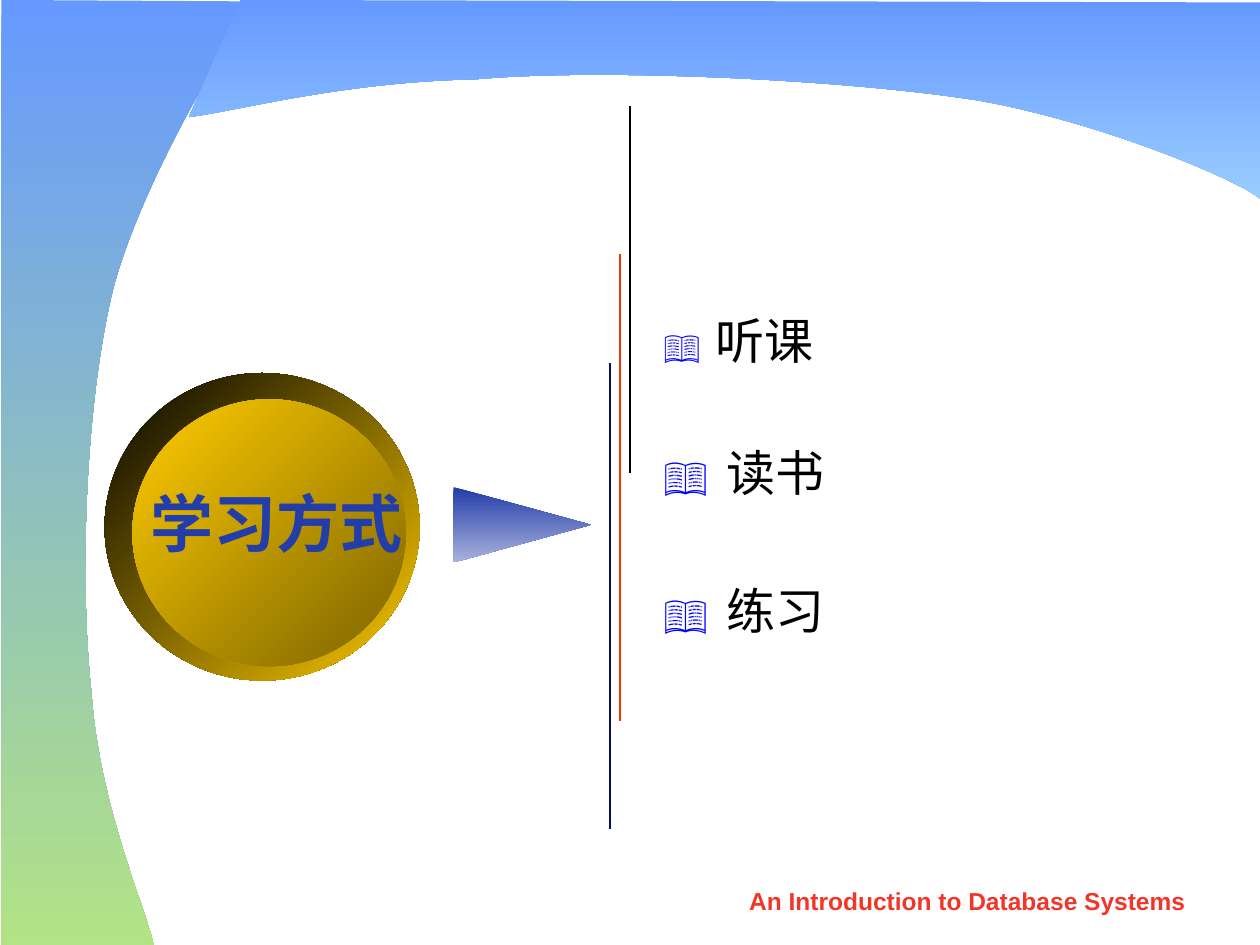
import pptx
import pptx.util
import pptx.dml.color
import pptx.enum.shapes
import pptx.enum.text
import pptx.oxml.ns
import lxml.etree

Cm, Pt = pptx.util.Cm, pptx.util.Pt
Shape = pptx.enum.shapes.MSO_SHAPE
Align = pptx.enum.text.PP_ALIGN
qn = pptx.oxml.ns.qn

HUES = {
    "sky": "6699FF", "pale": "99CCFF", "lime": "B2E385",
    "black": "000000", "gold": "FFCC00", "bronze": "7C6300",
    "royal": "233DA9", "mist": "A9B3DD", "navy": "050E63",
    "flame": "FF3300", "red": "F03628", "blue": "0000FF",
}


def hue(name):
    return pptx.dml.color.RGBColor.from_string(HUES[name])


class Deck:
    def __init__(self):
        self.show = pptx.Presentation()
        self.show.slide_width, self.show.slide_height = Cm(25.4), Cm(19.05)
        self.slide = self.show.slides.add_slide(self.show.slide_layouts[6])
        self.shapes = self.slide.shapes

    def blend(self, shape, hues, angle=270):
        shape.shadow.inherit = False
        shape.line.fill.background()
        shape.fill.gradient()
        shape.fill.gradient_angle = angle
        for stop, name, place in zip(shape.fill.gradient_stops, hues, (0, 1)):
            stop.color.rgb = hue(name)
            stop.position = place

    def wave(self, knots, corners, hues):
        """Outline of cubic curves (three knots each), closed by straight corners."""
        points = [(Cm(x), Cm(y)) for x, y in knots + corners]
        build = self.shapes.build_freeform(*points[0])
        build.add_line_segments(points[1:], close=True)
        shape = build.convert_to_shape()
        lines = list(shape._element.iter(qn("a:lnTo")))[:len(knots) - 1]
        for first in range(0, len(lines), 3):
            curve = lxml.etree.Element(qn("a:cubicBezTo"))
            lines[first].addprevious(curve)
            for line in lines[first:first + 3]:
                curve.append(line[0])
                line.getparent().remove(line)
        self.blend(shape, hues)

    def solid(self, kind, box, hues, angle=270, adjust=()):
        shape = self.shapes.add_shape(kind, *map(Cm, box))
        for index, value in enumerate(adjust):
            shape.adjustments[index] = value
        self.blend(shape, hues, angle)

    def rule(self, x, top, end, name):
        line = self.shapes.add_connector(
            pptx.enum.shapes.MSO_CONNECTOR.STRAIGHT, Cm(x), Cm(top), Cm(x), Cm(end))
        line.line.color.rgb = hue(name)
        line.line.width = Pt(1)
        lxml.etree.SubElement(line._element.spPr, qn("a:effectLst"))

    def text(self, box, runs, wrap=True, hang=0, **form):
        frame = self.shapes.add_textbox(*map(Cm, box)).text_frame
        frame.word_wrap = wrap
        para = frame.paragraphs[0]
        for key, value in form.items():
            setattr(para, key, value)
        if hang:
            props = para._p.get_or_add_pPr()
            props.set("marL", str(Cm(hang)))
            props.set("indent", str(-Cm(hang)))
        for words, name, style in runs:
            run = para.add_run()
            run.text = words
            run.font.color.rgb = hue(name)
            for key, value in style.items():
                setattr(run.font, key, value)


def main():
    deck = Deck()

    # Background waves
    deck.wave([(3.1, 19.05),
               (2.9, 18.21), (2.01, 16.23), (1.85, 14.02),
               (1.6, 11.79), (1.7, 8.18), (2.29, 5.79),
               (2.9, 3.53), (4.88, 0.25), (5.28, 0.03)],
              [(0.03, 0), (0.03, 19.05)], ("sky", "lime"))
    deck.wave([(3.81, 2.36),
               (4.78, 2.24), (6.91, 1.65), (9.58, 1.6),
               (12.09, 1.37), (17.04, 1.6), (19.74, 2.03),
               (22.33, 2.49), (25.12, 3.71), (25.4, 4.01)],
              [(25.4, 0.05), (4.85, 0)], ("sky", "pale"))

    # Footer
    deck.text((14.5, 17.73, 10.01, 0.89),
              [("An Introduction to Database Systems", "red",
                {"size": Pt(14), "name": "Arial", "bold": True})],
              alignment=Align.CENTER)

    # Ways to study
    first = {"size": Pt(28)}
    other = {"size": Pt(28), "name": "Karla"}
    for words, top, icon, hang, space, style in (
            ("听课", 6.13, 20, 1.04, 1.0, first),
            ("读书", 8.92, 24, 1.26, 0.9, other),
            ("练习", 11.71, 24, 1.26, 0.9, other)):
        deck.text((13.13, top, 7.62, 1.85),
                  [("📖\t", "blue", {"size": Pt(icon), "name": "Arial"}),
                   (words, "black", style)],
                  hang=hang, line_spacing=space)

    # Upright rules
    for x, top, end, name in ((12.5, 5.13, 14.53, "flame"),
                              (12.29, 7.32, 16.71, "navy"),
                              (12.7, 2.13, 9.53, "black")):
        deck.rule(x, top, end, name)

    # Arrow and gold disc
    deck.solid(Shape.RIGHT_ARROW, (9.14, 9.82, 2.77, 1.52),
               ("royal", "mist"), adjust=(0.52, 1.82))
    deck.solid(Shape.OVAL, (2.11, 7.52, 6.35, 6.2), ("black", "gold"), 315)
    deck.solid(Shape.OVAL, (2.67, 8.05, 5.51, 5.38), ("gold", "bronze"), 315)
    deck.text((2.77, 9.65, 5.59, 1.78),
              [("学习方式", "royal", {"size": Pt(36), "name": "Karla", "bold": True})],
              wrap=False, alignment=Align.CENTER)

    deck.show.save("out.pptx")


if __name__ == "__main__":
    main()
